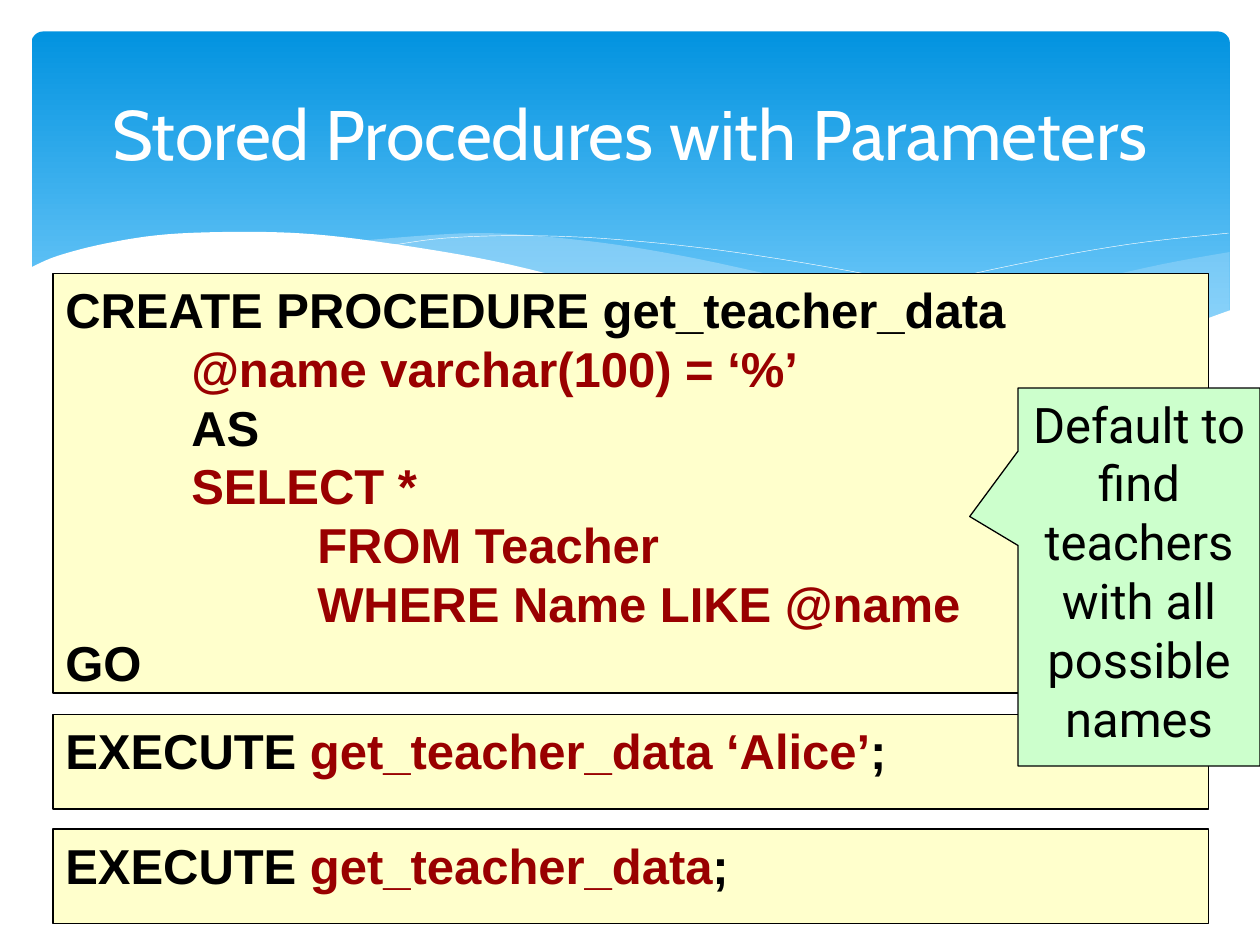
from lxml import etree
from pptx import Presentation
from pptx.dml.color import RGBColor
from pptx.enum.shapes import MSO_SHAPE
from pptx.enum.text import MSO_ANCHOR, PP_ALIGN
from pptx.oxml.ns import qn
from pptx.util import Inches, Pt

RECT, ROUNDED = MSO_SHAPE.RECTANGLE, MSO_SHAPE.ROUNDED_RECTANGLE
CALLOUT = MSO_SHAPE.RECTANGULAR_CALLOUT
LEFT, CENTER = PP_ALIGN.LEFT, PP_ALIGN.CENTER
TOP, MIDDLE = MSO_ANCHOR.TOP, MSO_ANCHOR.MIDDLE
BLACK, WHITE, RED = "000000", "FFFFFF", "990000"
CREAM, MINT, MIST = "FFFFCC", "CCFFCC", "C6E7FC"


def color(hex_value):
    return RGBColor.from_string(hex_value)


def smooth_curve(knots, steps=6):
    """Return points of a Catmull-Rom curve through the knots."""
    padded = [knots[0], *knots, knots[-1]]
    points = [knots[0]]
    for a, b, c, d in zip(padded, padded[1:], padded[2:], padded[3:]):
        for i in range(1, steps + 1):
            t = i / steps
            points.append(tuple(
                (2 * q + (r - p) * t + (2 * p - 5 * q + 4 * r - u) * t ** 2
                 + (3 * q - p - 3 * r + u) * t ** 3) / 2
                for p, q, r, u in zip(a, b, c, d)))
    return points


def write_text(tf, paragraphs, font="Arial", size=28, bold=False,
               align=LEFT, anchor=TOP, spacing=None):
    """Fill a text frame; each paragraph is a list of (text, colour) runs."""
    tf.word_wrap = True
    tf.vertical_anchor = anchor
    for i, runs in enumerate(paragraphs):
        p = tf.paragraphs[0] if i == 0 else tf.add_paragraph()
        p.alignment = align
        if spacing:
            p.line_spacing = Pt(spacing)
        if any("\t" in text for text, _ in runs):
            tabs = etree.SubElement(p._p.get_or_add_pPr(), qn("a:tabLst"))
            for inch in (1, 2):
                etree.SubElement(tabs, qn("a:tab"), pos=str(Inches(inch)), algn="l")
        for text, run_color in runs:
            r = p.add_run()
            r.text = text
            r.font.name, r.font.size, r.font.bold = font, Pt(size), bold
            r.font.color.rgb = color(run_color)


class SlideBuilder:
    def __init__(self, prs):
        self.s = prs.slides.add_slide(prs.slide_layouts[5])

    def style(self, sp, fill=None, line=None, weight=0.75, alpha=None):
        sp.shadow.inherit = False
        if fill:
            sp.fill.solid()
            sp.fill.fore_color.rgb = color(fill)
            if alpha:
                clr = sp._element.spPr.find(".//" + qn("a:srgbClr"))
                etree.SubElement(clr, qn("a:alpha"), val=str(alpha * 1000))
        else:
            sp.fill.background()
        if line:
            sp.line.color.rgb = color(line)
            sp.line.width = Pt(weight)
        else:
            sp.line.fill.background()

    def banner(self, box, top_color, bottom_color):
        sp = self.s.shapes.add_shape(ROUNDED, *map(Inches, box))
        self.style(sp)
        sp.adjustments[0] = 0.034
        sp.fill.gradient()
        sp.fill.gradient_angle = 270
        for stop, position, stop_color in zip(
                sp.fill.gradient_stops, (0, 1), (top_color, bottom_color)):
            stop.position = position
            stop.color.rgb = color(stop_color)

    def wave(self, *edges, **style):
        """Draw smooth edges joined by straight lines; close it when filled."""
        points = [(Inches(x), Inches(y)) for edge in edges for x, y in smooth_curve(edge)]
        builder = self.s.shapes.build_freeform(*points[0])
        builder.add_line_segments(points[1:], close="fill" in style)
        self.style(builder.convert_to_shape(), **style)

    def title(self, text, box):
        sp = self.s.shapes.title
        self.s.shapes._spTree.append(sp._element)  # in front of the banner
        sp.left, sp.top, sp.width, sp.height = map(Inches, box)
        write_text(sp.text_frame, [[(text, WHITE)]], font="Cabin", size=40,
                   align=CENTER, anchor=MIDDLE)

    def text_shape(self, kind, box, fill, paragraphs, **text_format):
        sp = self.s.shapes.add_shape(kind, *map(Inches, box))
        self.style(sp, fill, BLACK)
        write_text(sp.text_frame, paragraphs, spacing=33.6, **text_format)
        return sp

    def code(self, top, height, paragraphs):
        self.text_shape(RECT, (0.42, top, 9.17, height), CREAM, paragraphs, bold=True)

    def callout(self, box, text, tip):
        sp = self.text_shape(CALLOUT, box, MINT, [[(text, BLACK)]],
                             font="Roboto", align=CENTER)
        sp.adjustments[0], sp.adjustments[1] = tip


def draw_banner(b):
    b.banner((0.25, 0.25, 9.51, 2.7), "0293E0", "83D3FE")
    b.wave([(9.76, 2), (9.21, 2.1), (8.32, 2.3), (7.53, 2.48), (6.61, 2.65)],
           [(6.61, 2.65), (7.18, 2.73), (8.03, 2.78), (8.81, 2.73),
            (9.35, 2.62), (9.76, 2.47)], fill=MIST, alpha=29)
    b.wave([(8.93, 2.73), (8.07, 2.6), (7.06, 2.4), (6.29, 2.22), (5.41, 2.03),
            (4.64, 1.91), (3.8, 1.85), (2.86, 1.91)],
           [(2.86, 1.91), (3.62, 2.03), (4.49, 2.22), (5.66, 2.48), (6.5, 2.64),
            (7.36, 2.75), (8.18, 2.79), (8.93, 2.73)], fill=MIST, alpha=40)
    b.wave([(3.09, 1.95), (3.53, 1.89), (4.16, 1.87), (4.89, 1.9), (5.82, 2),
            (6.95, 2.19), (7.95, 2.42), (9.07, 2.72)], line=WHITE, weight=0.25)
    b.wave([(6.13, 2.57), (6.95, 2.35), (8.06, 2.1), (8.95, 1.94), (9.75, 1.85)],
           line=WHITE, weight=0.25)
    b.wave([(9.77, 2.46), (9.2, 2.65), (8.63, 2.74), (8.09, 2.77), (7.44, 2.74),
            (6.68, 2.65), (5.79, 2.5), (4.75, 2.27), (3.91, 2.07), (3.15, 1.94),
            (2.5, 1.86), (1.93, 1.84), (1.32, 1.86), (0.85, 1.93), (0.46, 2.03),
            (0.23, 2.13)],
           [(0.23, 3.29), (9.77, 3.29)], fill=WHITE)


def main():
    prs = Presentation()
    prs.slide_width, prs.slide_height = Inches(10), Inches(7.5)
    b = SlideBuilder(prs)
    draw_banner(b)
    b.title("Stored Procedures with Parameters", (0.5, 0.37, 9, 1.37))
    b.code(2.17, 3.33, [
        [("CREATE PROCEDURE get_teacher_data", BLACK)],
        [("\t@name varchar(100) = ‘%’", RED)],
        [("\tAS", BLACK)],
        [("\tSELECT *", RED)],
        [("\t\tFROM Teacher", RED)],
        [("\t\tWHERE Name LIKE @name", RED)],
        [("GO", BLACK)],
    ])
    for top, call in ((5.67, "get_teacher_data ‘Alice’"), (6.58, "get_teacher_data")):
        b.code(top, 0.75, [[("EXECUTE ", BLACK), (call, RED), (";", BLACK)]])
    b.callout((8.08, 3.08, 1.92, 3), "Default to find teachers with all possible names",
              tip=(-0.7, -0.16))
    prs.save("out.pptx")


if __name__ == "__main__":
    main()
